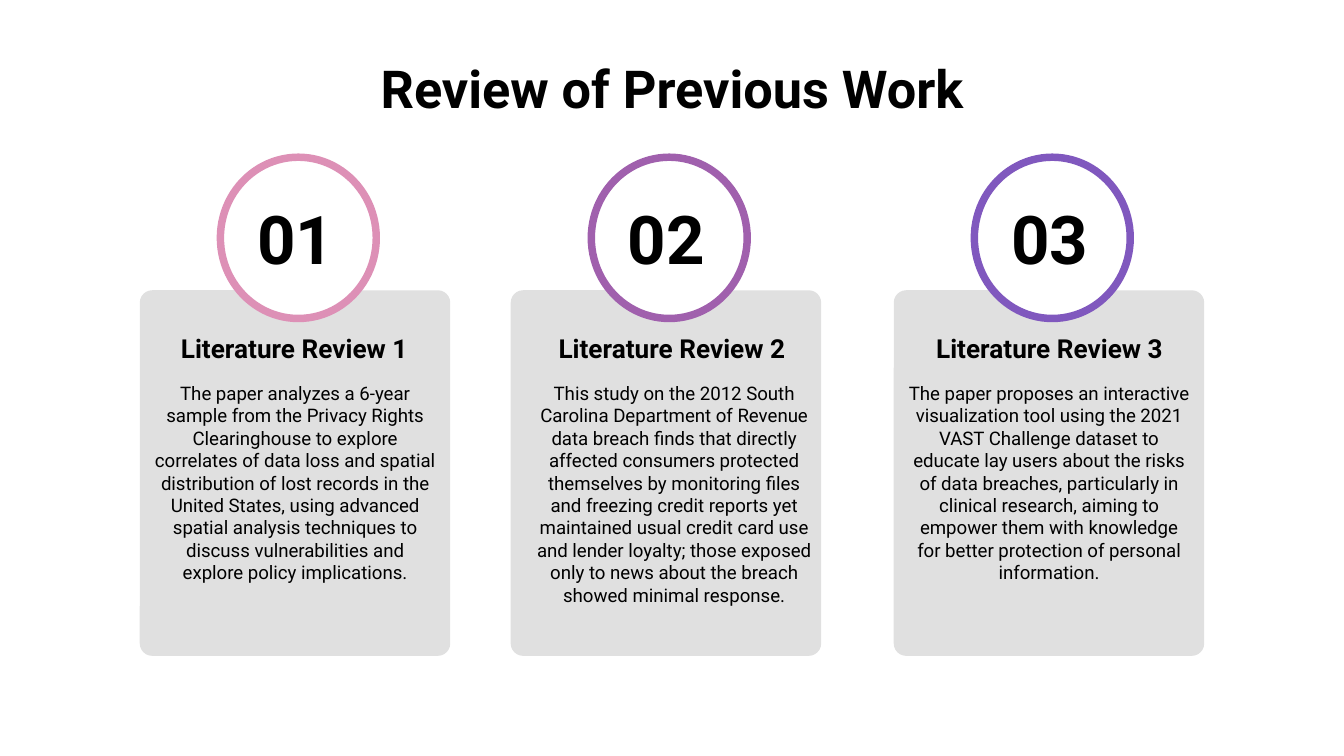
import pptx
import pptx.util
import pptx.dml.color
import pptx.enum.shapes
import pptx.enum.text

Inches = pptx.util.Inches
Shapes = pptx.enum.shapes.MSO_SHAPE
Anchor = pptx.enum.text.MSO_ANCHOR

COLORS = {"text": "000000", "card": "E0E0E0", "badge": "FFFFFF",
          "pink": "DD90B6", "plum": "A060AD", "violet": "8058BE"}


def rgb(name):
    return pptx.dml.color.RGBColor.from_string(COLORS[name])


def write(shape, text, size, bold, anchor, left=0.1, right=0.1):
    frame = shape.text_frame
    frame.word_wrap = True
    frame.auto_size = pptx.enum.text.MSO_AUTO_SIZE.NONE
    frame.vertical_anchor = anchor
    frame.margin_left, frame.margin_right = Inches(left), Inches(right)
    frame.margin_top = frame.margin_bottom = Inches(0.1)
    frame.text = text
    paragraph = frame.paragraphs[0]
    paragraph.alignment = pptx.enum.text.PP_ALIGN.CENTER
    paragraph.font.name = "Roboto"
    paragraph.font.size = pptx.util.Pt(size)
    paragraph.font.bold = bold
    paragraph.font.color.rgb = rgb("text")


deck = pptx.Presentation()
deck.slide_width = Inches(10)
deck.slide_height = Inches(10 * 9 / 16)
slide = deck.slides.add_slide(deck.slide_layouts[5])

title = slide.shapes.title
title.left, title.top = Inches(0.5), Inches(0.32)
title.width, title.height = Inches(9), Inches(0.63)
write(title, "Review of Previous Work", 28, True, Anchor.TOP)

reviews = [
    (1.04, 0.95, 1.14, "pink",
     "The paper analyzes a 6-year sample from the Privacy Rights Clearinghouse to explore "
     "correlates of data loss and spatial distribution of lost records in the United States, "
     "using advanced spatial analysis techniques to discuss vulnerabilities and explore "
     "policy implications."),
    (3.80, 3.77, 3.95, "plum",
     "This study on the 2012 South Carolina Department of Revenue data breach finds that "
     "directly affected consumers protected themselves by monitoring files and freezing "
     "credit reports yet maintained usual credit card use and lender loyalty; those exposed "
     "only to news about the breach showed minimal response."),
    (6.65, 6.56, 6.76, "violet",
     "The paper proposes an interactive visualization tool using the 2021 VAST Challenge "
     "dataset to educate lay users about the risks of data breaches, particularly in clinical "
     "research, aiming to empower them with knowledge for better protection of personal "
     "information."),
]

for number, (card_left, summary_left, heading_left, ring, findings) in enumerate(reviews, 1):
    card = slide.shapes.add_shape(Shapes.ROUNDED_RECTANGLE, Inches(card_left), Inches(2.16),
                                  Inches(2.31), Inches(2.72))
    card.adjustments[0] = 0.04
    card.shadow.inherit = False
    card.fill.solid()
    card.fill.fore_color.rgb = rgb("card")
    card.line.fill.background()

    badge = slide.shapes.add_shape(Shapes.OVAL, Inches(card_left + 0.6), Inches(1.17),
                                   Inches(1.16), Inches(1.2))
    badge.shadow.inherit = False
    badge.fill.solid()
    badge.fill.fore_color.rgb = rgb("badge")
    badge.line.color.rgb = rgb(ring)
    badge.line.width = pptx.util.Pt(4)
    write(badge, f"{number:02}", 36, True, Anchor.MIDDLE, left=0, right=0.04)

    summary = slide.shapes.add_textbox(Inches(summary_left), Inches(2.74),
                                       Inches(2.49), Inches(2.01))
    write(summary, findings, 10, False, Anchor.TOP, left=0.2, right=0.2)

    heading = slide.shapes.add_textbox(Inches(heading_left), Inches(2.44),
                                       Inches(2.1), Inches(0.3))
    write(heading, f"Literature Review {number}", 14, True, Anchor.MIDDLE)

deck.save("out.pptx")
